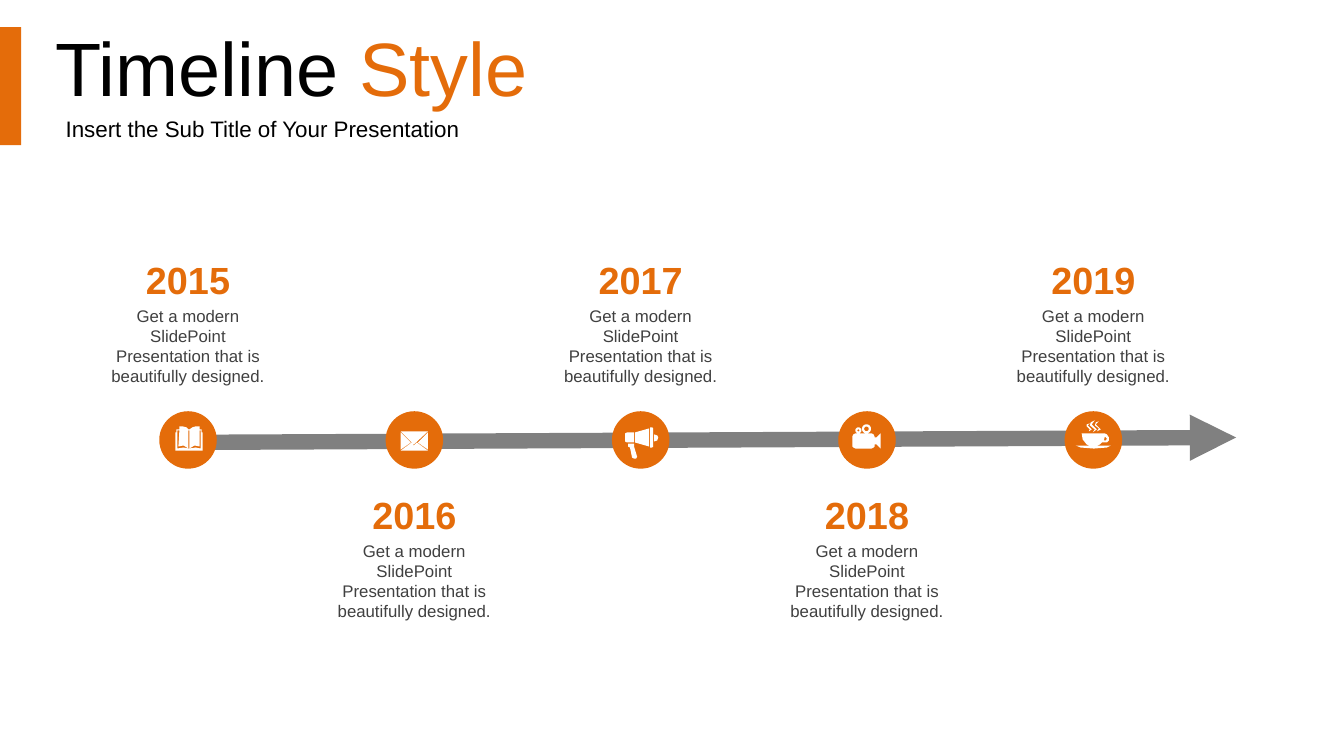
import math

import pptx
import pptx.dml.color
import pptx.enum.shapes
import pptx.enum.text
import pptx.oxml
import pptx.oxml.ns
import pptx.util

COLORS = {"accent": "E46C0A", "ink": "000000", "body": "404040", "axis": "808080", "icon": "FFFFFF"}
MIDDLE = pptx.enum.text.MSO_ANCHOR.MIDDLE
CENTER = pptx.enum.text.PP_ALIGN.CENTER
GROW = pptx.enum.text.MSO_AUTO_SIZE.SHAPE_TO_FIT_TEXT
HUNDREDTH = pptx.util.Inches(0.01)
FINENESS = 10


def ring(x, y, radius):
    turns = [math.tau * step / 24 for step in range(24)]
    return [(x + radius * math.cos(turn), y + radius * math.sin(turn)) for turn in turns]


BOOK = [
    [(16, 21), (17, 21), (17, 18), (20, 18), (20, 15), (23, 15), (27, 16), (29, 18), (30, 18),
     (33, 16), (36, 15), (40, 15), (40, 18), (42, 18), (42, 21), (43, 21), (43, 39), (16, 39)],
    [(20, 19), (18, 19), (18, 37), (24, 36), (29, 37), (24, 34), (19, 35)],
    [(41, 19), (40, 19), (40, 35), (35, 34), (30, 37), (36, 36), (41, 37)],
    [(29, 19), (30, 19), (30, 37), (29, 37)],
]
ENVELOPE = [
    [(31, 31), (42, 39), (15, 39), (26, 31), (28, 34)],
    [(42, 21), (42, 38), (32, 31)],
    [(15, 21), (25, 31), (15, 38)],
    [(15, 20), (42, 20), (28, 33)],
]
MEGAPHONE = [
    [(22, 32), (22, 35), (25, 45), (24, 47), (22, 47), (20, 46), (18, 36), (16, 35), (16, 32)],
    [(42, 23), (45, 24), (46, 26), (45, 29), (42, 30)],
    [(15, 21), (22, 21), (22, 31), (15, 31), (13, 30), (13, 22)],
    [(37, 17), (37, 35), (23, 31), (23, 21)],
    [(38, 16), (40, 16), (41, 17), (41, 35), (40, 36), (38, 36)],
]
CAMERA = [
    [(17, 22), (33, 22), (35, 23), (36, 25), (36, 26), (38, 26), (42, 22), (42, 37), (38, 33),
     (36, 33), (36, 35), (35, 36), (33, 37), (17, 37), (15, 36), (14, 35), (14, 25), (15, 23)],
    ring(20, 19, 3), ring(20, 19, 1), ring(28, 17.5, 4.5), ring(28, 17.5, 2.3),
]
COFFEE = [
    [(17, 22), (40, 22), (42, 23), (44, 26), (44, 29), (42, 31), (37, 31), (35, 33), (32, 34),
     (46, 34), (42, 36), (29, 37), (16, 36), (11, 34), (25, 34), (22, 33), (18, 28)],
    [(40, 25), (39, 29), (41, 29), (42, 27)],
    [(25, 12), (23, 14), (27, 18), (24, 20), (25, 18), (22, 15), (22, 13)],
    [(30, 9), (27, 13), (32, 18), (28, 21), (30, 18), (25, 14), (26, 11)],
    [(34, 10), (31, 13), (36, 18), (32, 20), (34, 17), (30, 14), (31, 11)],
]
MILESTONES = [("2015", BOOK), ("2016", ENVELOPE), ("2017", MEGAPHONE), ("2018", CAMERA), ("2019", COFFEE)]
STORY = "Get a modern SlidePoint Presentation that is beautifully designed."


class TimelineSlide:
    """Draws timeline parts on one slide, with lengths in percent of its size."""

    def __init__(self, deck):
        self.width, self.height = deck.slide_width, deck.slide_height
        self.shapes = deck.slides.add_slide(deck.slide_layouts[6]).shapes

    def across(self, share):
        return round(self.width * share / 100)

    def down(self, share):
        return round(self.height * share / 100)

    def frame(self, x, y, w, h):
        return self.across(x), self.down(y), self.across(w), self.down(h)

    def color(self, name):
        return pptx.dml.color.RGBColor.from_string(COLORS[name])

    def paint(self, shape, color):
        shape.shadow.inherit = False
        shape.fill.solid()
        shape.fill.fore_color.rgb = self.color(color)
        shape.line.fill.background()

    def block(self, kind, box, color):
        self.paint(self.shapes.add_shape(kind, *self.frame(*box)), color)

    def text(self, box, runs, size, bold=False, insets=(0, 0, 0, 0), layout=None, spacing=None):
        frame = self.shapes.add_textbox(*self.frame(*box)).text_frame
        sides = ("margin_left", "margin_top", "margin_right", "margin_bottom")
        margins = dict(zip(sides, map(pptx.util.Inches, insets)))
        for name, value in {"word_wrap": True, **margins, **(layout or {})}.items():
            setattr(frame, name, value)
        paragraph = frame.paragraphs[0]
        for name, value in (spacing or {}).items():
            setattr(paragraph, name, value)
        for words, color in runs:
            run = paragraph.add_run()
            run.text = words
            for name, value in {"name": "Arial", "size": pptx.util.Pt(size), "bold": bold}.items():
                setattr(run.font, name, value)
            run.font.color.rgb = self.color(color)

    def arrow(self, start, end, color, weight):
        axis = self.shapes.add_connector(
            pptx.enum.shapes.MSO_CONNECTOR.STRAIGHT,
            self.across(start[0]), self.down(start[1]), self.across(end[0]), self.down(end[1]))
        axis.line.color.rgb = self.color(color)
        axis.line.width = pptx.util.Pt(weight)
        properties = axis._element.spPr
        head = pptx.oxml.parse_xml(f'<a:tailEnd {pptx.oxml.ns.nsdecls("a")} type="triangle"/>')
        properties.find(pptx.oxml.ns.qn("a:ln")).append(head)
        properties.append(pptx.oxml.parse_xml(f'<a:effectLst {pptx.oxml.ns.nsdecls("a")}/>'))

    def icon(self, x, y, contours, color):
        fine = [[(px * FINENESS, py * FINENESS) for px, py in contour] for contour in contours]
        outline = self.shapes.build_freeform(*fine[0][0], scale=HUNDREDTH / FINENESS)
        for number, contour in enumerate(fine):
            if number:
                outline.move_to(*contour[0])
            outline.add_line_segments(contour[1:], close=True)
        self.paint(outline.convert_to_shape(self.across(x), self.down(y)), color)

    def milestone(self, center, drop, year, contours):
        centered = {"spacing": {"alignment": CENTER}, "layout": {"auto_size": GROW}}
        self.text((center - 6.25, 40.4 + drop, 12.5, 10.8), [(STORY, "body")], 12, **centered)
        self.text((center - 6.22, 34 + drop, 12.44, 6), [(year, "accent")], 27, True, **centered)
        left, top = center - 2.14, 54.4
        self.block(pptx.enum.shapes.MSO_SHAPE.OVAL, (left, top, 4.28, 7.6), "accent")
        self.icon(left, top, contours, "icon")


def main():
    deck = pptx.Presentation()
    deck.slide_width, deck.slide_height = pptx.util.Inches(13.33), pptx.util.Inches(7.5)
    timeline = TimelineSlide(deck)
    timeline.block(pptx.enum.shapes.MSO_SHAPE.RECTANGLE, (0, 3.6, 1.58, 15.6), "accent")
    heading = {"layout": {"vertical_anchor": MIDDLE}, "spacing": {"line_spacing": 0.9}}
    timeline.text((3.38, 3.87, 94.15, 10.53), [("Timeline ", "ink"), ("Style", "accent")], 54,
                  insets=(0.1, 0.1, 0.1, 0.05), **heading)
    timeline.text((3.38, 14.4, 94.15, 5.07), [("Insert the Sub Title of Your Presentation", "ink")], 16,
                  insets=(0.2, 0.1, 0.1, 0.05), **heading)
    timeline.arrow((13.05, 58.53), (91.97, 57.87), "axis", 11)
    for number, (year, contours) in enumerate(MILESTONES):
        timeline.milestone(13.99 + 16.84 * number, 31.1 * (number % 2), year, contours)
    deck.save("out.pptx")


if __name__ == "__main__":
    main()
